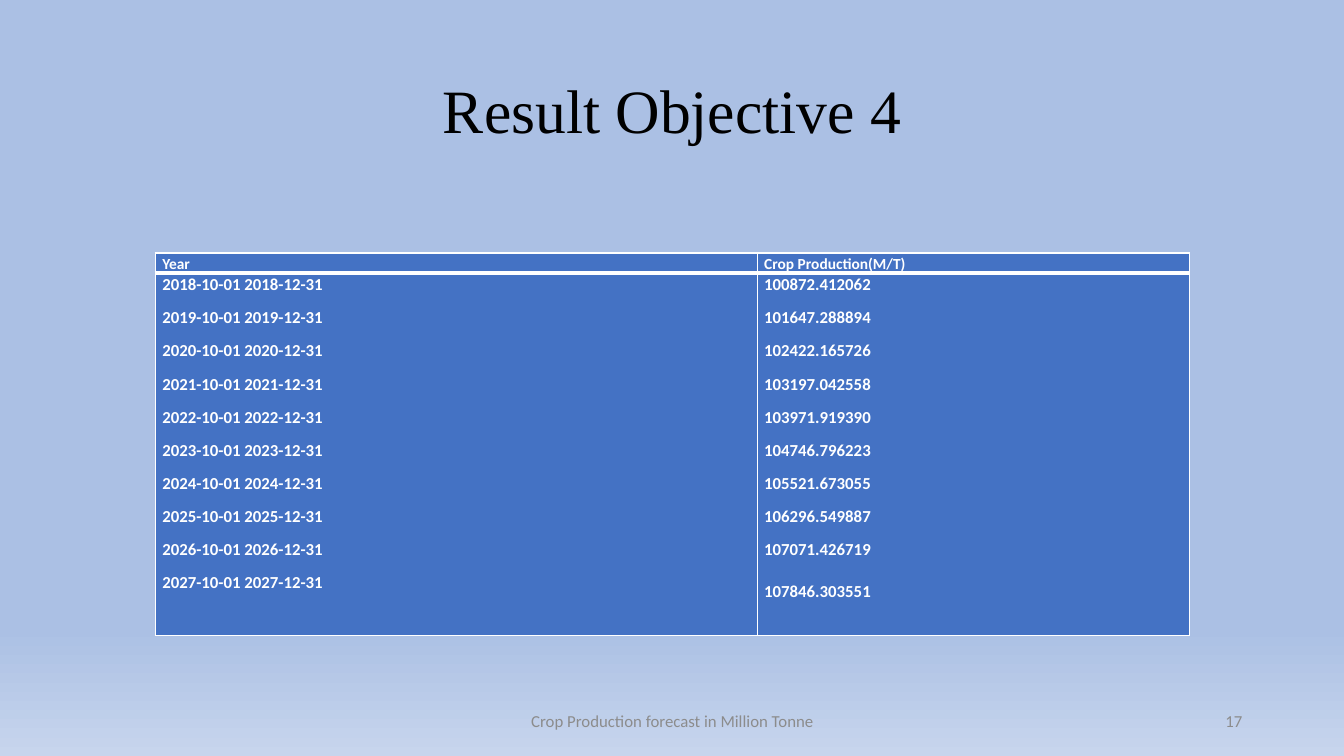
"""Build the crop production forecast slide."""
from dataclasses import dataclass

from lxml import etree
from pptx import Presentation
from pptx.dml.color import RGBColor
from pptx.enum.text import MSO_ANCHOR, PP_ALIGN
from pptx.oxml.ns import qn
from pptx.slide import Slide
from pptx.table import _Cell
from pptx.text.text import _Paragraph
from pptx.util import Emu, Pt

CENTER, RIGHT = PP_ALIGN.CENTER, PP_ALIGN.RIGHT
MIDDLE, TOP = MSO_ANCHOR.MIDDLE, MSO_ANCHOR.TOP
EMU_PER_PX = 9144
TITLE_ONLY = 5
COLORS = {
    "sky": "ABC0E4",
    "horizon": "C7D5ED",
    "table": "4472C4",
    "border": "FFFFFF",
    "table_text": "FFFFFF",
    "title": "000000",
    "footer": "8C8C8C",
}
HEADER_HEIGHT, BODY_HEIGHT = 20, 359
THIN, THICK = 1, 3


@dataclass(frozen=True)
class ForecastColumn:
    """One table column with its heading, width and lines."""

    heading: str
    width: int
    lines: list[str]
    last_spacing: float


@dataclass(frozen=True)
class FooterItem:
    """One text at the foot of the slide."""

    text: str
    left: int
    width: int
    align: PP_ALIGN


COLUMNS = [
    ForecastColumn(
        "Year", 597, [f"{year}-10-01 {year}-12-31" for year in range(2018, 2028)], 1.07
    ),
    ForecastColumn(
        "Crop Production(M/T)",
        429,
        [
            "100872.412062", "101647.288894", "102422.165726", "103197.042558",
            "103971.919390", "104746.796223", "105521.673055", "106296.549887",
            "107071.426719", "107846.303551",
        ],
        1.5,
    ),
]
FOOTER = [
    FooterItem("Crop Production forecast in Million Tonne", 442, 450, CENTER),
    FooterItem("17", 942, 300, RIGHT),
]


def px(length: int) -> Emu:
    """Turn pixels into EMU."""
    return Emu(length * EMU_PER_PX)


def rgb(name: str) -> RGBColor:
    """Look up a named colour."""
    return RGBColor.from_string(COLORS[name])


def format_paragraph(
    paragraph: _Paragraph, size: float, color: str, font: str = "Calibri", bold: bool = False
) -> None:
    """Set the font of every run in a paragraph."""
    for run in paragraph.runs:
        run.font.name = font
        run.font.size = Pt(size)
        run.font.bold = bold
        run.font.color.rgb = rgb(color)


def paint_background(slide: Slide) -> None:
    """Fill the background with a gradient that lightens at the foot."""
    fill = slide.background.fill
    fill.gradient()
    fill.gradient_angle = 270
    for stop, position, color in zip(fill.gradient_stops, (0.83, 1.0), ("sky", "horizon")):
        stop.position = position
        stop.color.rgb = rgb(color)


def add_title(slide: Slide) -> None:
    """Place and format the slide title."""
    title = slide.shapes.title
    title.left, title.top, title.width, title.height = px(92), px(40), px(1150), px(145)
    title.text_frame.text = "Result Objective 4"
    title.text_frame.vertical_anchor = MIDDLE
    paragraph = title.text_frame.paragraphs[0]
    paragraph.alignment = CENTER
    paragraph.line_spacing = 0.9
    format_paragraph(paragraph, 44, "title", "Times New Roman")


def add_borders(cell: _Cell, top: int, bottom: int) -> None:
    """Draw the four borders of a cell, with widths in points."""
    properties = cell._tc.get_or_add_tcPr()
    for tag, width in (("a:lnL", THIN), ("a:lnR", THIN), ("a:lnT", top), ("a:lnB", bottom)):
        line = etree.SubElement(properties, qn(tag), w=str(Pt(width)))
        solid = etree.SubElement(line, qn("a:solidFill"))
        etree.SubElement(solid, qn("a:srgbClr"), val=COLORS["border"])


def fill_cell(cell: _Cell, lines: list[str], size: float, last_spacing: float = 1.07) -> None:
    """Write lines into a cell and format them."""
    cell.fill.solid()
    cell.fill.fore_color.rgb = rgb("table")
    cell.margin_left = cell.margin_right = px(7)
    cell.margin_top = cell.margin_bottom = 0
    cell.vertical_anchor = TOP
    cell.text_frame.text = "\n".join(lines)
    for paragraph in cell.text_frame.paragraphs:
        paragraph.line_spacing = 1.07
        paragraph.space_after = Pt(8)
        format_paragraph(paragraph, size, "table_text", bold=True)
    cell.text_frame.paragraphs[-1].line_spacing = last_spacing


def add_forecast(slide: Slide) -> None:
    """Add the forecast table."""
    width = sum(column.width for column in COLUMNS)
    table = slide.shapes.add_table(
        2, len(COLUMNS), px(154), px(251), px(width), px(HEADER_HEIGHT + BODY_HEIGHT)
    ).table
    table.horz_banding = False
    table.rows[0].height, table.rows[1].height = px(HEADER_HEIGHT), px(BODY_HEIGHT)
    for index, column in enumerate(COLUMNS):
        table.columns[index].width = px(column.width)
        heading, body = table.cell(0, index), table.cell(1, index)
        add_borders(heading, THIN, THICK)
        add_borders(body, THICK, THIN)
        fill_cell(heading, [column.heading], 11)
        fill_cell(body, column.lines, 12, column.last_spacing)


def add_footer_item(slide: Slide, item: FooterItem) -> None:
    """Add one text at the foot of the slide."""
    box = slide.shapes.add_textbox(px(item.left), px(695), px(item.width), px(40))
    frame = box.text_frame
    frame.word_wrap = True
    frame.vertical_anchor = MIDDLE
    frame.text = item.text
    frame.paragraphs[0].alignment = item.align
    format_paragraph(frame.paragraphs[0], 12, "footer")


def main() -> None:
    """Build and save the slide."""
    presentation = Presentation()
    presentation.slide_width, presentation.slide_height = px(1333), px(750)
    slide = presentation.slides.add_slide(presentation.slide_layouts[TITLE_ONLY])
    paint_background(slide)
    add_title(slide)
    add_forecast(slide)
    for item in FOOTER:
        add_footer_item(slide, item)
    presentation.save("out.pptx")


if __name__ == "__main__":
    main()
